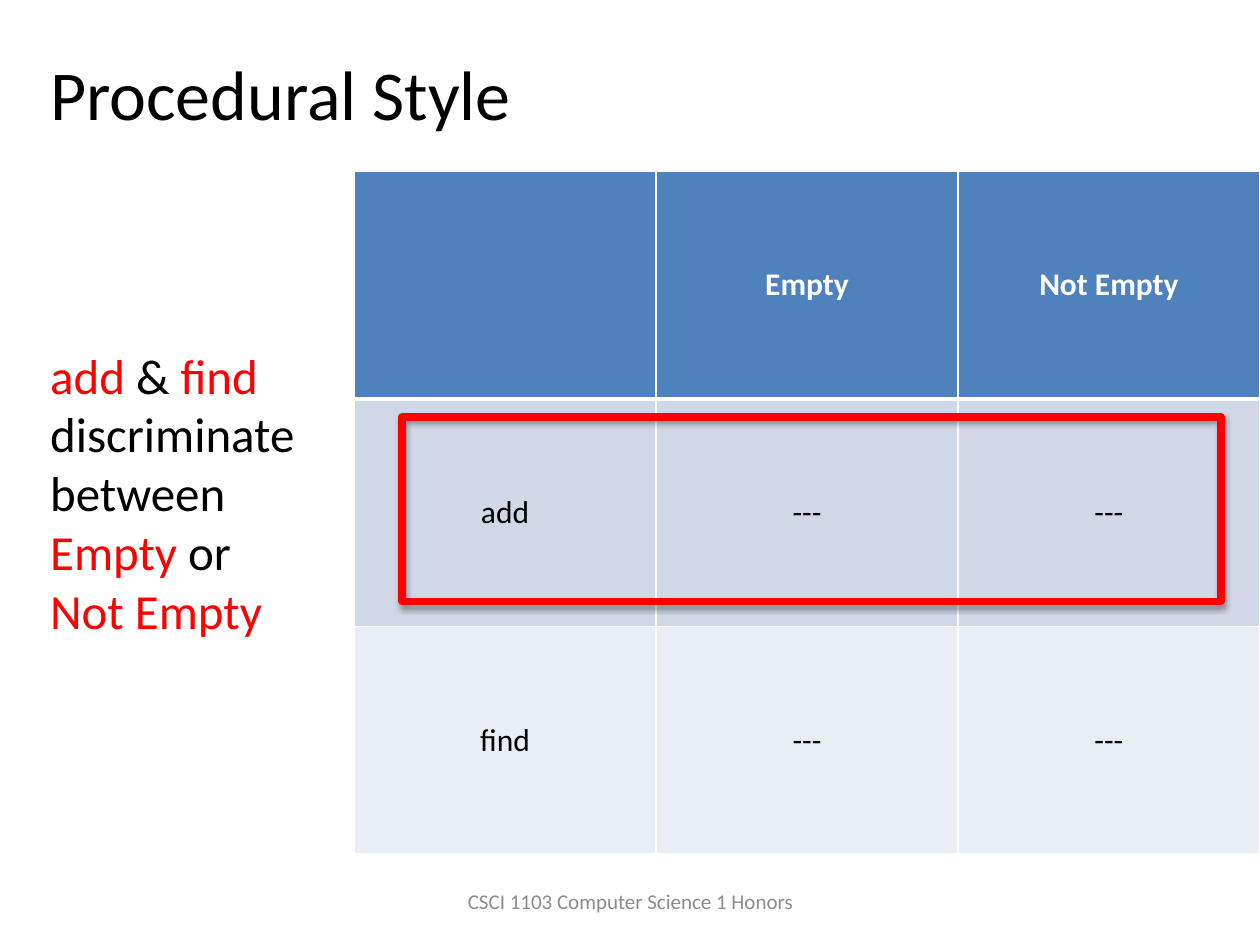
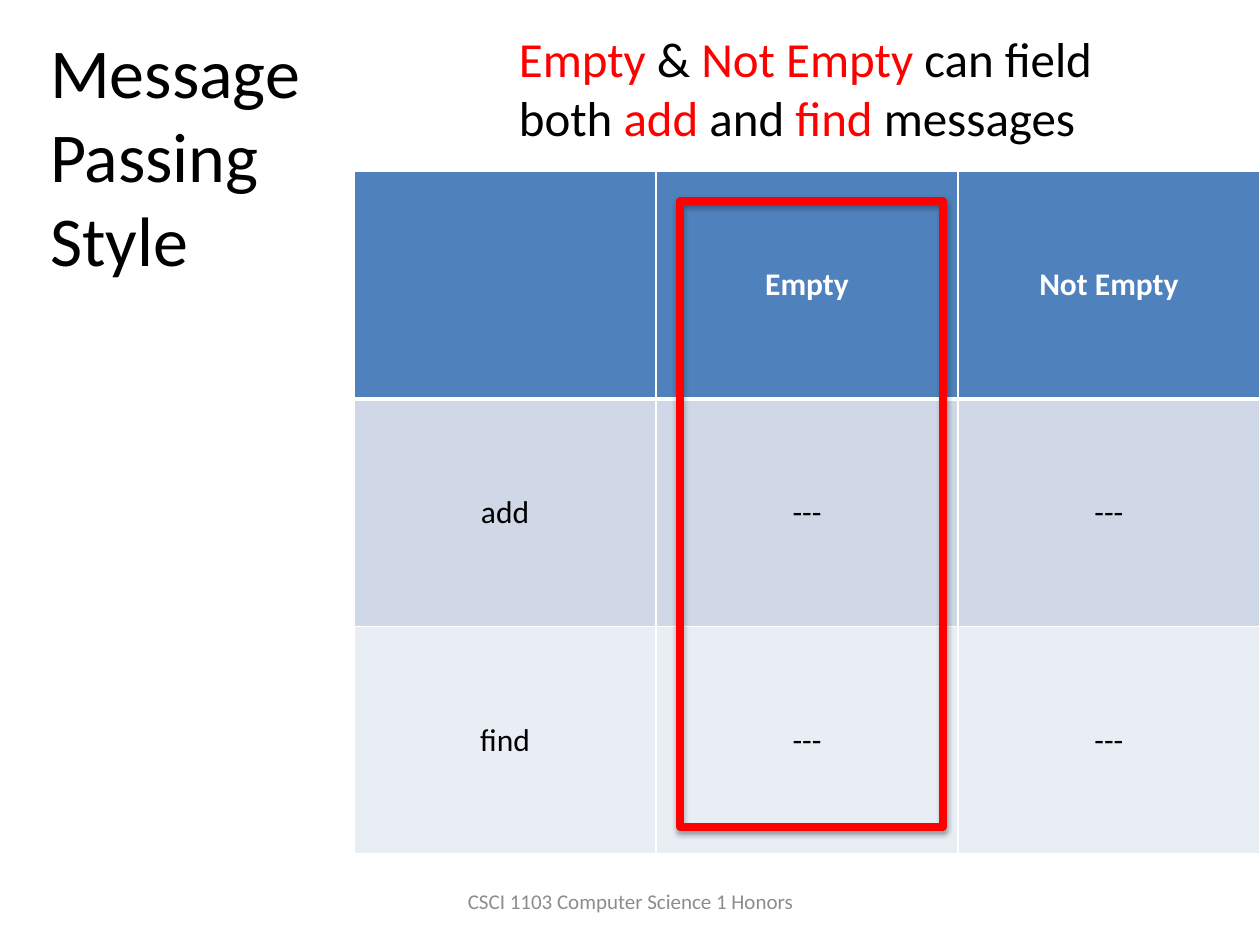
from dataclasses import dataclass
from itertools import cycle

from lxml import etree
from pptx import Presentation
from pptx.dml.color import RGBColor
from pptx.enum.shapes import MSO_SHAPE
from pptx.enum.text import MSO_ANCHOR, MSO_AUTO_SIZE, PP_ALIGN
from pptx.oxml.ns import qn
from pptx.util import Inches, Pt

RECTANGLE = MSO_SHAPE.RECTANGLE
TOP, MIDDLE = MSO_ANCHOR.TOP, MSO_ANCHOR.MIDDLE
LEFT, CENTER = PP_ALIGN.LEFT, PP_ALIGN.CENTER
NO_RESIZE = MSO_AUTO_SIZE.NONE

WHITE, BLACK, RED, GRAY = "FFFFFF", "000000", "FF0000", "8C8C8C"
HEADER_BLUE, BAND_DARK, BAND_LIGHT = "4F81BD", "D0D8E8", "E9EDF4"

FONT = "Calibri"
TITLE = {"size": Pt(40)}
BODY = {"size": Pt(28)}
FOOTER = {"size": Pt(12)}
HEADER_CELL = {"size": Pt(18), "bold": True}
BODY_CELL = {"size": Pt(18), "bold": False}

FOOTER_TEXT = "CSCI 1103 Computer Science 1 Honors"
OPERATIONS = [
    ["", "Empty", "Not Empty"],
    ["add", "---", "---"],
    ["find", "---", "---"],
]


@dataclass
class Box:
    left: float
    top: float
    width: float
    height: float

    def lengths(self):
        return [Inches(value) for value in (self.left, self.top, self.width, self.height)]

    def span(self, grid, column, row, columns, rows):
        column_width = self.width / len(grid[0])
        row_height = self.height / len(grid)
        return Box(
            self.left + column * column_width,
            self.top + row * row_height,
            columns * column_width,
            rows * row_height,
        )


PAGE = Box(0, 0, 10, 7.5)
TABLE_BOX = Box(2.81, 1.36, 7.19, 5.42)
FOOTER_BOX = Box(3.42, 6.95, 3.17, 0.4)


def color(value):
    return RGBColor.from_string(value)


def fill_with(target, value):
    target.fill.solid()
    target.fill.fore_color.rgb = color(value)


def add_run(paragraph, text, value, formats):
    run = paragraph.add_run()
    run.text = text
    run.font.name = FONT
    run.font.color.rgb = color(value)
    for name, setting in formats.items():
        setattr(run.font, name, setting)


def add_text(slide, box, text, formats, main=BLACK, align=LEFT, anchor=TOP, wrap=True):
    frame = slide.shapes.add_textbox(*box.lengths()).text_frame
    settings = {"word_wrap": wrap, "vertical_anchor": anchor, "auto_size": NO_RESIZE}
    for name, setting in settings.items():
        setattr(frame, name, setting)
    paragraph = frame.paragraphs[0]
    paragraph.alignment = align
    for piece, value in zip(text.split("*"), cycle((main, RED))):
        if piece:
            add_run(paragraph, piece, value, formats)


def add_border(cell, side, points):
    properties = cell._tc.get_or_add_tcPr()
    line = etree.SubElement(properties, qn(f"a:ln{side}"), w=str(Pt(points)))
    solid = etree.SubElement(line, qn("a:solidFill"))
    etree.SubElement(solid, qn("a:srgbClr"), val=WHITE)


def add_operations_table(slide, box):
    row_count, column_count = len(OPERATIONS), len(OPERATIONS[0])
    table = slide.shapes.add_table(row_count, column_count, *box.lengths()).table
    fills = (HEADER_BLUE, BAND_DARK, BAND_LIGHT)
    for row, (texts, fill) in enumerate(zip(OPERATIONS, fills)):
        is_header = row == 0
        widths = {"L": 1, "R": 1, "T": 3 if row == 1 else 1, "B": 3 if is_header else 1}
        for column, text in enumerate(texts):
            cell = table.cell(row, column)
            for side, points in widths.items():
                add_border(cell, side, points)
            fill_with(cell, fill)
            cell.vertical_anchor = MIDDLE
            paragraph = cell.text_frame.paragraphs[0]
            paragraph.alignment = CENTER
            if text:
                formats = HEADER_CELL if is_header else BODY_CELL
                add_run(paragraph, text, WHITE if is_header else BLACK, formats)


def add_highlight(slide, box):
    shape = slide.shapes.add_shape(RECTANGLE, *box.lengths())
    shape.fill.background()
    shape.line.color.rgb = color(RED)
    shape.line.width = Pt(4.5)
    shape.shadow.inherit = False
    effects = shape._element.spPr.find(qn("a:effectLst"))
    shadow = etree.SubElement(
        effects,
        qn("a:outerShdw"),
        blurRad=str(Pt(3.1)),
        dist=str(Pt(1.8)),
        dir="5400000",
        rotWithShape="0",
    )
    shade = etree.SubElement(shadow, qn("a:srgbClr"), val=BLACK)
    etree.SubElement(shade, qn("a:alpha"), val="35000")


def add_style_slide(presentation, title, title_box, title_wrap, message, message_box, marked):
    slide = presentation.slides.add_slide(presentation.slide_layouts[6])
    add_text(slide, FOOTER_BOX, FOOTER_TEXT, FOOTER, GRAY, CENTER, MIDDLE)
    add_operations_table(slide, TABLE_BOX)
    add_text(slide, message_box, message, BODY)
    add_highlight(slide, TABLE_BOX.span(OPERATIONS, *marked))
    add_text(slide, title_box, title, TITLE, wrap=title_wrap)


def main():
    presentation = Presentation()
    presentation.slide_width = Inches(PAGE.width)
    presentation.slide_height = Inches(PAGE.height)
    add_style_slide(
        presentation,
        title="Procedural Style",
        title_box=Box(0.3, 0.35, 3.89, 0.77),
        title_wrap=False,
        message="*add* & *find* discriminate between *Empty* or *Not Empty",
        message_box=Box(0.3, 2.69, 2.17, 2.46),
        marked=(0.16, 1.08, 2.71, 0.81),
    )
    add_style_slide(
        presentation,
        title="Message Passing Style",
        title_box=Box(0.3, 0.18, 2.89, 2.12),
        title_wrap=True,
        message="*Empty* & *Not Empty *can field both *add *and* find *messages",
        message_box=Box(4.02, 0.18, 5.06, 1.04),
        marked=(1.08, 0.13, 0.87, 2.75),
    )
    presentation.save("out.pptx")


if __name__ == "__main__":
    main()
